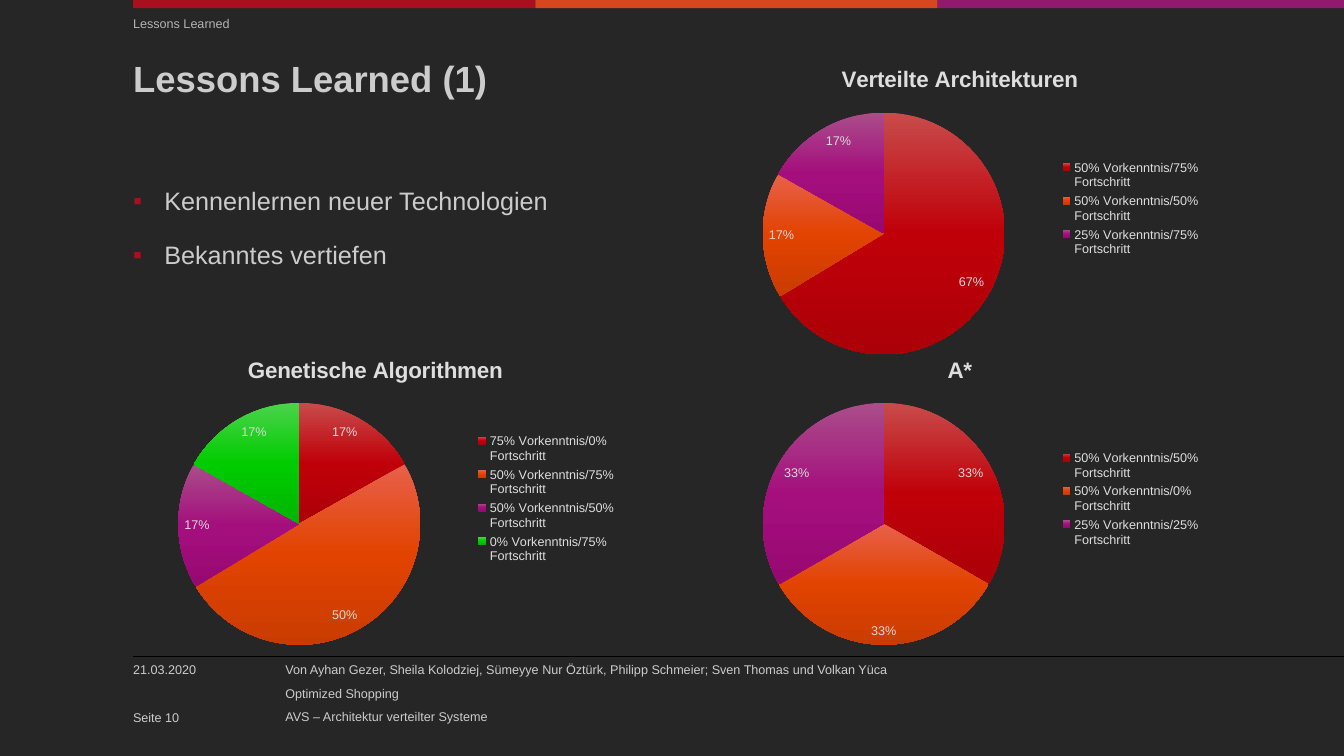
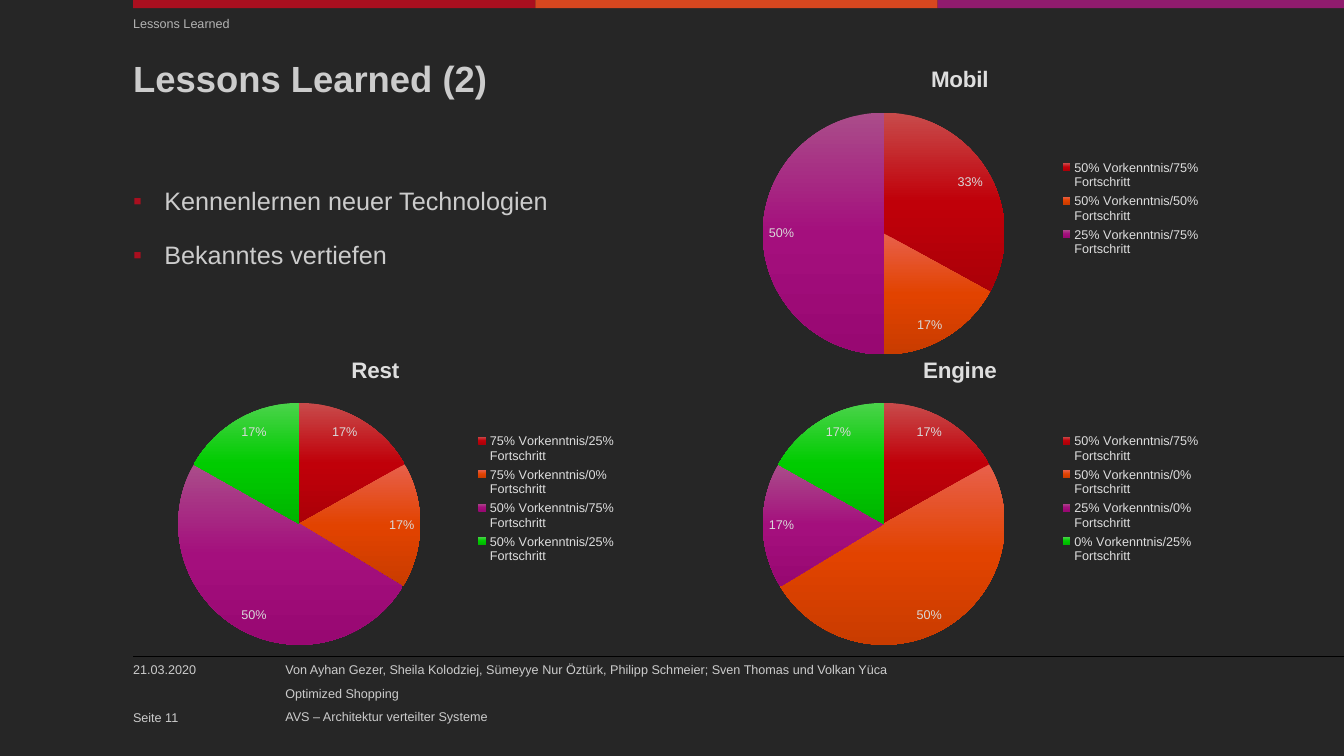
from copy import deepcopy

from lxml import etree
from pptx import Presentation
from pptx.chart.data import CategoryChartData
from pptx.dml.color import RGBColor
from pptx.enum.chart import XL_CHART_TYPE, XL_LABEL_POSITION, XL_LEGEND_POSITION
from pptx.enum.shapes import MSO_CONNECTOR, MSO_SHAPE
from pptx.enum.text import MSO_ANCHOR, MSO_AUTO_SIZE, PP_ALIGN
from pptx.oxml.ns import qn
from pptx.util import Inches, Pt

PIE = XL_CHART_TYPE.PIE
INSIDE_END = XL_LABEL_POSITION.INSIDE_END
LEGEND_RIGHT = XL_LEGEND_POSITION.RIGHT
RECT = MSO_SHAPE.RECTANGLE
STRAIGHT = MSO_CONNECTOR.STRAIGHT
TOP, BOTTOM = MSO_ANCHOR.TOP, MSO_ANCHOR.BOTTOM
LEFT = PP_ALIGN.LEFT
NO_AUTOFIT = MSO_AUTO_SIZE.NONE

THEME = {
    "background": "262626",
    "rule": "000000",
    "bullet": "AA0F1F",
    "bands": ["AA0F1F", "D7471F", "901B6E"],
    "slices": [
        ("C84B4B", "C00009", "AB0008"),
        ("E8604B", "E24300", "C93C00"),
        ("AA4D8A", "A40F7D", "980872"),
        ("4BD34B", "00CC00", "00B500"),
    ],
    "title": {"size": 26, "color": "CCCCCC", "bold": True},
    "kicker": {"size": 9, "color": "B3B3B3"},
    "body": {"size": 18, "color": "CCCCCC"},
    "footer": {"size": 9, "color": "CCCCCC"},
    "chart": {"size": 10, "color": "CCCCCC"},
    "chart_title": {"size": 16, "color": "DEDEDE", "bold": True},
    "legend": {"size": 9, "color": "DEDEDE"},
    "label": {"size": 9, "color": "D9D9D9"},
}

prs = Presentation()
prs.slide_width, prs.slide_height = Inches(13.33), Inches(7.5)
COL, ROW = prs.slide_width / 100, prs.slide_height / 100
MARGIN = 9.9
BAND_EDGES = [MARGIN, 39.84, 69.77, 100]
CHART_COLS, CHART_ROWS = (9.25, 52.74), (6.53, 44.93)
CHART_SIZE = (37.36, 42.2)

FOOTER = [
    "Von Ayhan Gezer, Sheila Kolodziej, Sümeyye Nur Öztürk, Philipp Schmeier; Sven Thomas und Volkan Yüca",
    "Optimized Shopping",
    "AVS – Architektur verteilter Systeme",
]
BULLETS = ["Kennenlernen neuer Technologien", "Bekanntes vertiefen"]

SLIDES = [
    ("Lessons Learned (1)", "Seite 10", [
        ("Genetische Algorithmen", 0, 1,
         [("75%", "0%", 17), ("50%", "75%", 50), ("50%", "50%", 17), ("0%", "75%", 17)]),
        ("Verteilte Architekturen", 1, 0,
         [("50%", "75%", 67), ("50%", "50%", 17), ("25%", "75%", 17)]),
        ("A*", 1, 1,
         [("50%", "50%", 33), ("50%", "0%", 33), ("25%", "25%", 33)]),
    ]),
    ("Lessons Learned (2)", "Seite 11", [
        ("Rest", 0, 1,
         [("75%", "25%", 17), ("75%", "0%", 17), ("50%", "75%", 50), ("50%", "25%", 17)]),
        ("Mobil", 1, 0,
         [("50%", "75%", 33), ("50%", "50%", 17), ("25%", "75%", 50)]),
        ("Engine", 1, 1,
         [("50%", "75%", 17), ("50%", "0%", 50), ("25%", "0%", 17), ("0%", "25%", 17)]),
    ]),
]


def set_font(font, style):
    values = {"name": "Arial", "size": Pt(style["size"]), "bold": style.get("bold", False)}
    for name, value in values.items():
        setattr(font, name, value)
    font.color.rgb = RGBColor.from_string(style["color"])


def write(sp, box, lines, style, anchor=TOP, wrap=True, **spacing):
    sp.left, sp.top, sp.width, sp.height = [
        round(n * unit) for n, unit in zip(box, (COL, ROW, COL, ROW))]
    tf = sp.text_frame
    frame = {"margin_left": 0, "margin_top": 0, "margin_right": 0, "margin_bottom": 0,
             "auto_size": NO_AUTOFIT, "vertical_anchor": anchor, "word_wrap": wrap}
    for name, value in frame.items():
        setattr(tf, name, value)
    for i, line in enumerate(lines):
        p = tf.paragraphs[0] if i == 0 else tf.add_paragraph()
        p.alignment = LEFT
        for name, value in spacing.items():
            setattr(p, name, value)
        r = p.add_run()
        r.text = line
        set_font(r.font, style)


fill = prs.slide_master.background.fill
fill.solid()
fill.fore_color.rgb = RGBColor.from_string(THEME["background"])
title_only = prs.slide_layouts[5]

for title, page, charts in SLIDES:
    slide = prs.slides.add_slide(title_only)
    shapes = slide.shapes

    for left, right, color in zip(BAND_EDGES, BAND_EDGES[1:], THEME["bands"]):
        sp = shapes.add_shape(RECT, round(left * COL), 0, round((right - left) * COL), round(1.07 * ROW))
        sp.shadow.inherit = False
        sp.fill.solid()
        sp.fill.fore_color.rgb = RGBColor.from_string(color)
        sp.line.fill.background()

    rule_y = round(86.8 * ROW)
    rule = shapes.add_connector(STRAIGHT, round(MARGIN * COL), rule_y, prs.slide_width, rule_y)
    rule.line.color.rgb = RGBColor.from_string(THEME["rule"])
    rule.line.width = Pt(0.5)
    etree.SubElement(rule._element.spPr, qn("a:effectLst"))

    write(shapes.title, (MARGIN, 7.6, 88.6, 13.07), [title], THEME["title"], line_spacing=Pt(30))

    texts = [
        ((MARGIN, 2.13, 88.5, 3.2), ["Lessons Learned"], "kicker", {}),
        ((MARGIN, 87.6, 10.65, 2.67), ["21.03.2020"], "footer", {"wrap": False}),
        ((MARGIN, 92.8, 10.65, 3.07), [page], "footer", {"anchor": BOTTOM}),
        ((21.23, 87.6, 45.9, 8), FOOTER, "footer", {"wrap": False, "space_after": Pt(6)}),
        ((MARGIN, 22.53, 40.66, 18), BULLETS, "body", {"line_spacing": 1.5, "space_before": Pt(6)}),
    ]
    for box, lines, style, options in texts:
        sp = shapes.add_textbox(0, 0, 0, 0)
        write(sp, box, lines, THEME[style], **options)

    for p in sp.text_frame.paragraphs:
        pPr = p._p.get_or_add_pPr()
        pPr.set("marL", str(Inches(0.31)))
        pPr.set("indent", str(-Inches(0.31)))
        color = etree.SubElement(pPr, qn("a:buClr"))
        etree.SubElement(color, qn("a:srgbClr"), val=THEME["bullet"])
        etree.SubElement(pPr, qn("a:buFont"), typeface="Arial")
        etree.SubElement(pPr, qn("a:buChar"), char="▪")

    for name, col, row, slices in charts:
        data = CategoryChartData(number_format='0"%"')
        data.categories = [f"{known} Vorkenntnis/{gained} Fortschritt" for known, gained, _ in slices]
        data.add_series(name, [value for _, _, value in slices])
        chart = shapes.add_chart(
            PIE, round(CHART_COLS[col] * COL), round(CHART_ROWS[row] * ROW),
            round(CHART_SIZE[0] * COL), round(CHART_SIZE[1] * ROW), data).chart
        set_font(chart.font, THEME["chart"])

        chart.has_title = True
        tf = chart.chart_title.text_frame
        tf.text = name
        set_font(tf.paragraphs[0].runs[0].font, THEME["chart_title"])

        chart.has_legend = True
        chart.legend.position = LEGEND_RIGHT
        chart.legend.include_in_layout = False
        set_font(chart.legend.font, THEME["legend"])

        plot = chart.plots[0]
        plot.vary_by_categories = True
        plot.has_data_labels = True
        labels = plot.data_labels
        label_format = {"show_value": True, "show_percentage": False, "position": INSIDE_END,
                        "number_format": '0"%"', "number_format_is_linked": False}
        for key, value in label_format.items():
            setattr(labels, key, value)
        set_font(labels.font, THEME["label"])

        for i, colors in enumerate(THEME["slices"][:len(slices)]):
            fill = plot.series[0].points[i].format.fill
            fill.gradient()
            fill.gradient_angle = 270
            stops = chart._chartSpace.xpath(".//a:gsLst")[i]
            stops.append(deepcopy(stops[0]))
            for stop, position, color in zip(fill.gradient_stops, (0, 0.5, 1), colors):
                stop.position = position
                stop.color.rgb = RGBColor.from_string(color)

prs.save("out.pptx")
